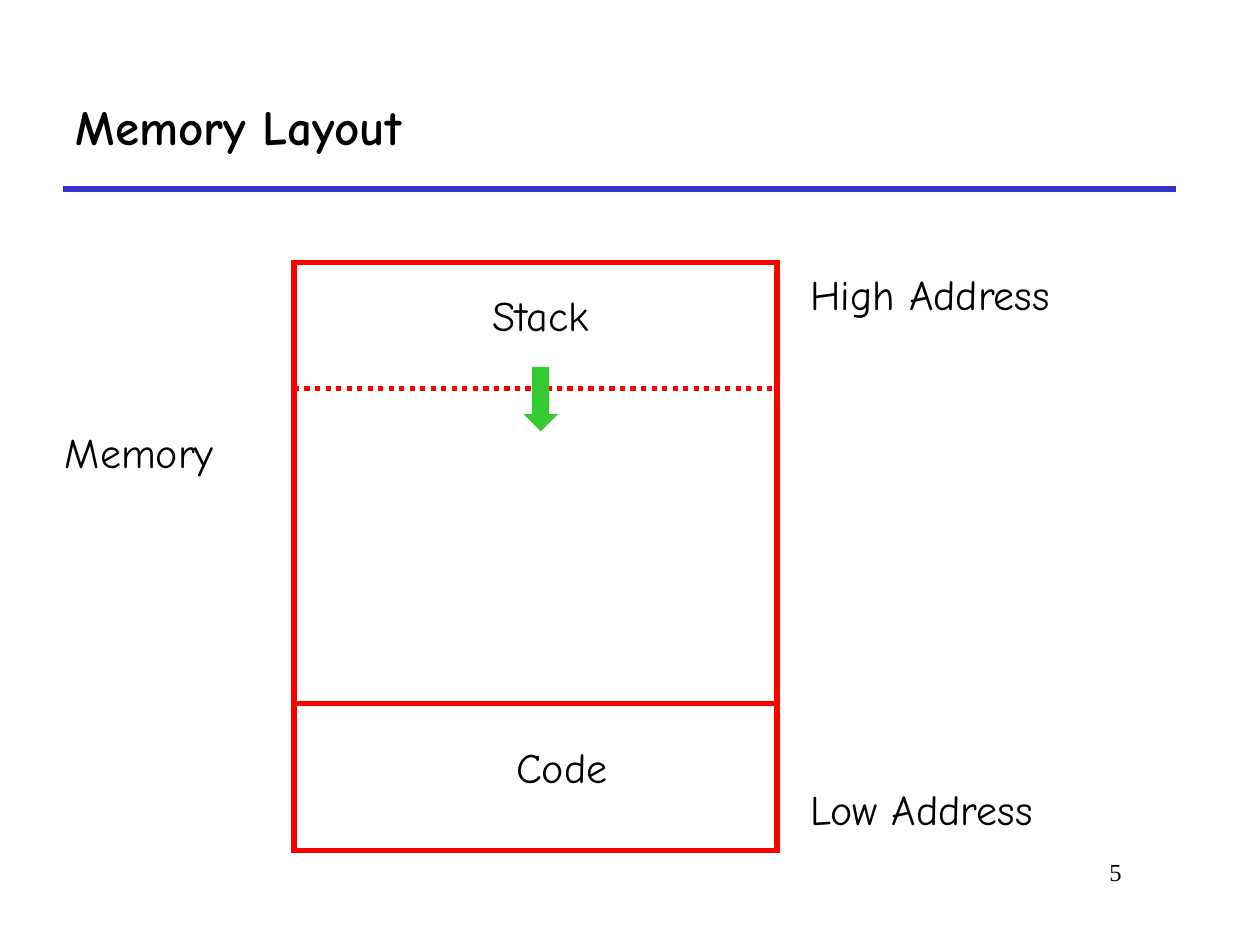
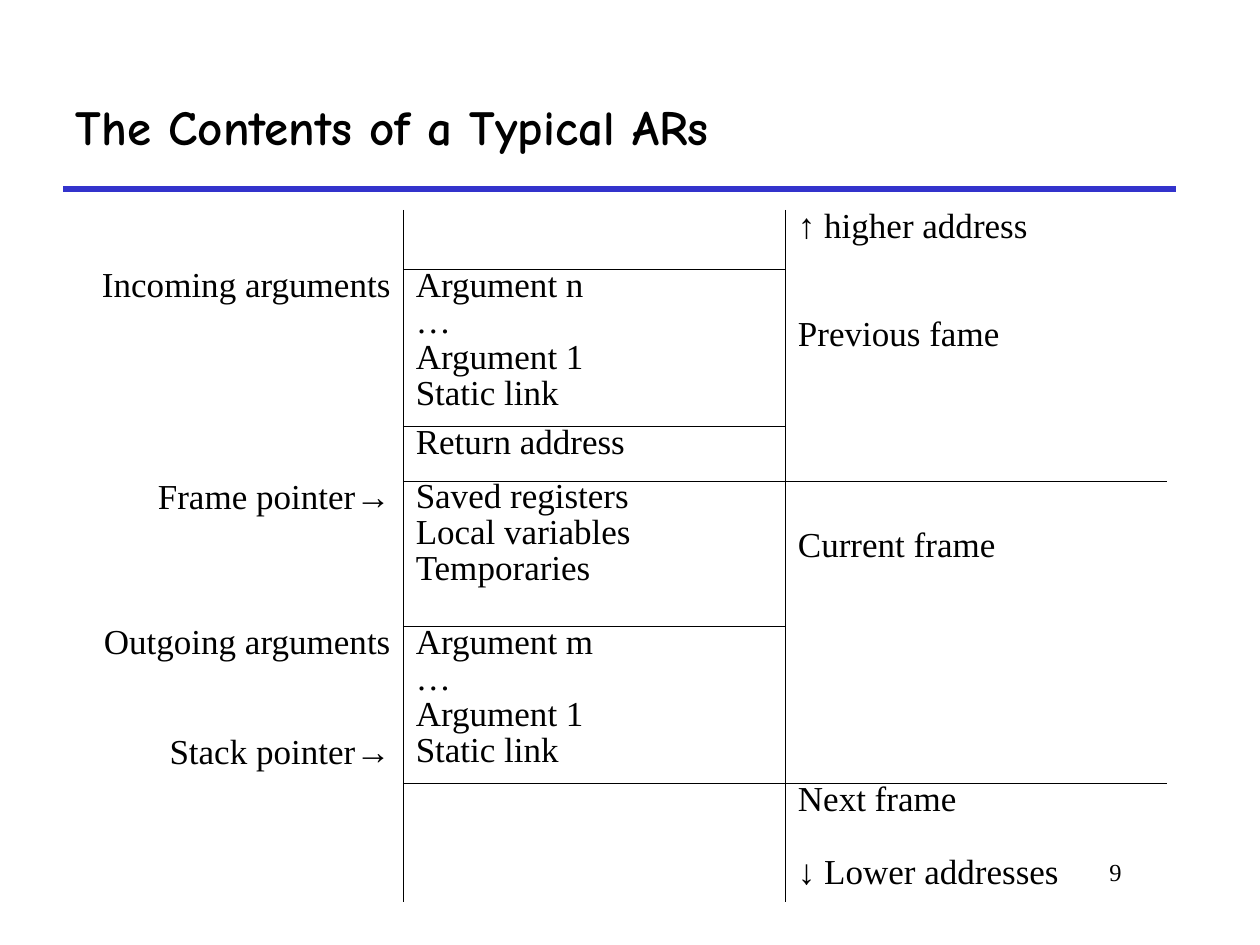
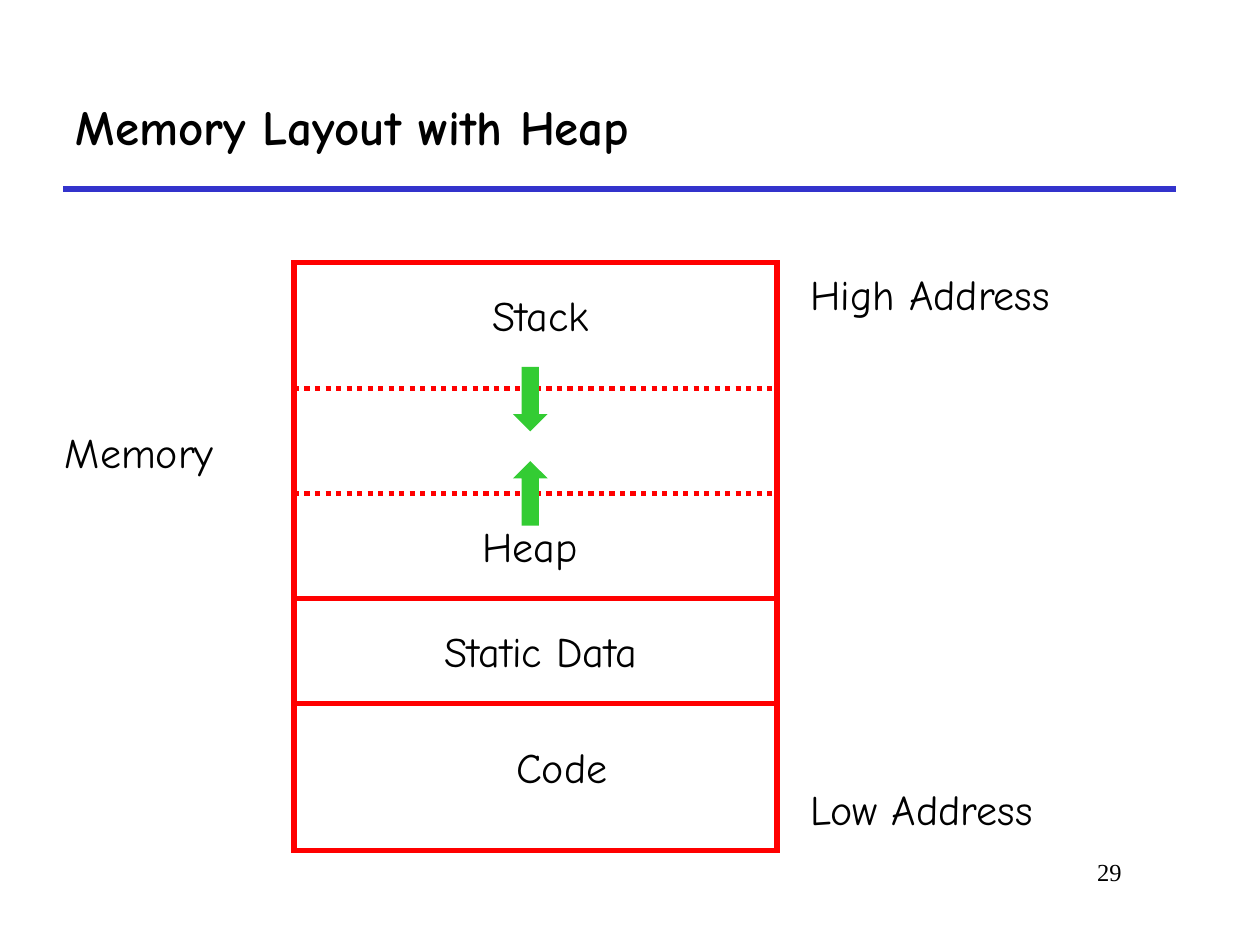
from itertools import groupby

from lxml.etree import SubElement
from pptx import Presentation
from pptx.dml.color import RGBColor
from pptx.enum.dml import MSO_LINE_DASH_STYLE as DASH
from pptx.enum.shapes import MSO_CONNECTOR, MSO_SHAPE
from pptx.enum.text import MSO_ANCHOR, PP_ALIGN as ALIGN
from pptx.oxml.ns import qn
from pptx.util import Emu, Pt

EMU_PER_PX = 7620  # 120 px to the inch
BLACK, BLUE, RED, GREEN = "000000", "3333CC", "FF0000", "33CC33"
COMIC, SERIF, SANS = "Comic Neue", "Times New Roman", "Arial"
ARROWS = "↑↓→"
NO_TABLE_STYLE = "{2D5ABB26-0587-4C30-8999-92F81FD0307C}"

MEMORY_BOX = (280, 250, 460, 560)
FRAME_BOX = (20, 200, 1092, 658)
ROW_HEIGHTS = (57, 149, 52, 139, 148, 113)
CELL_MARGIN = 6
FRAME_NAME_DROP = 46

# Each row: pointers and arguments | stack contents | frames
FRAME_ROWS = [
    ([], [], ["↑ higher address"]),
    (["Incoming arguments"],
     ["Argument n", "…", "Argument 1", "Static link"],
     ["Previous fame"]),
    ([], ["Return address"], []),
    (["Frame pointer→"],
     ["Saved registers", "Local variables", "Temporaries"],
     ["Current frame"]),
    (["Outgoing arguments", "Stack pointer→"],
     ["Argument m", "…", "Argument 1", "Static link"],
     []),
    ([], [], ["Next frame", "↓ Lower addresses"]),
]
DROPPED_NAMES = ("Previous fame", "Current frame")
SPACE_BEFORE = {"Stack pointer→": 47, "↓ Lower addresses": 26}
FRAME_END_ROWS = (2, 4)


def px(*lengths):
    return [Emu(length * EMU_PER_PX) for length in lengths]


def color(hex_value):
    return RGBColor.from_string(hex_value)


def set_font(paragraph, name, size, bold=False):
    font = paragraph.font
    font.name, font.size, font.bold = name, Pt(size), bold
    font.color.rgb = color(BLACK)


def set_outline(shape, line_color, points):
    """Give the shape a line with sharp corners and no shadow."""
    shape.shadow.inherit = False
    shape.line.color.rgb = color(line_color)
    shape.line.width = Pt(points)
    SubElement(shape.line._get_or_add_ln(), qn("a:miter"), lim="800000")


def add_label(slide, text, box, align=ALIGN.LEFT, name=COMIC, size=24):
    frame = slide.shapes.add_textbox(*px(*box)).text_frame
    frame.word_wrap = True
    paragraph = frame.paragraphs[0]
    paragraph.text, paragraph.alignment = text, align
    set_font(paragraph, name, size)


def add_rule(slide, left, right, y, line_color, dash=None):
    rule = slide.shapes.add_connector(
        MSO_CONNECTOR.STRAIGHT, *px(left, y, right, y))
    rule.line.color.rgb = color(line_color)
    rule.line.width = Pt(3)
    if dash:
        rule.line.dash_style = dash
    SubElement(rule.element.spPr, qn("a:effectLst"))


def add_growth_arrow(slide, direction, left, top):
    arrow = slide.shapes.add_shape(direction, *px(left, top, 30, 60))
    arrow.fill.solid()
    arrow.fill.fore_color.rgb = color(GREEN)
    set_outline(arrow, GREEN, 0.75)


def add_titled_slide(deck, heading, number):
    slide = deck.slides.add_slide(deck.slide_layouts[5])
    add_rule(slide, 60, 1120, 180, BLUE)
    add_label(slide, number, (830, 810, 250, 60), ALIGN.RIGHT, SERIF, 14)
    title = slide.shapes.title
    title.left, title.top, title.width, title.height = px(60, 60, 1060, 120)
    title.text_frame.text = heading
    title.text_frame.vertical_anchor = MSO_ANCHOR.MIDDLE
    paragraph = title.text_frame.paragraphs[0]
    paragraph.alignment = ALIGN.LEFT
    set_font(paragraph, COMIC, 28, bold=True)
    return slide


def add_memory(slide, box, stack_arrow_left):
    left, top, width, _ = box
    memory = slide.shapes.add_shape(MSO_SHAPE.RECTANGLE, *px(*box))
    memory.fill.background()
    set_outline(memory, RED, 3)

    for text, dx, dy, label_width in (
        ("Low Address", width + 20, 490, 310),
        ("High Address", width + 20, 0, 310),
        ("Memory", -230, 150, 210),
    ):
        add_label(slide, text, (left + dx, top + dy, label_width, 60))
    add_region(slide, box, "Code", (100, 450, 310), 420)
    add_region(slide, box, "Stack", (100, 20, 270), 120, DASH.ROUND_DOT)
    add_growth_arrow(
        slide, MSO_SHAPE.DOWN_ARROW, left + stack_arrow_left, top + 100)


def add_region(slide, box, text, label, border_y, dash=None):
    """Name a region of the memory box and draw the border that limits it."""
    left, top, width, _ = box
    dx, dy, label_width = label
    add_rule(slide, left, left + width, top + border_y, RED, dash)
    add_label(slide, text, (left + dx, top + dy, label_width, 60),
              ALIGN.CENTER)


def add_heap(slide, box):
    left, top, _, _ = box
    add_region(slide, box, "Static Data", (80, 340, 310), 320)
    add_region(slide, box, "Heap", (90, 240, 270), 220, DASH.ROUND_DOT)
    add_growth_arrow(slide, MSO_SHAPE.UP_ARROW, left + 210, top + 190)


def set_borders(cell, sides):
    """Draw the named sides (L, R, T, B) and clear the others."""
    properties = cell._tc.get_or_add_tcPr()
    for index, side in enumerate("LRTB"):
        border = properties.makeelement(qn(f"a:ln{side}"), {"w": "5715"})
        properties.insert(index, border)
        if side in sides:
            fill = SubElement(border, qn("a:solidFill"))
            SubElement(fill, qn("a:srgbClr"), val=BLACK)
        else:
            SubElement(border, qn("a:noFill"))


def fill_cell(cell, lines, align):
    cell.fill.background()
    dropped = lines and lines[0] in DROPPED_NAMES
    cell.margin_left, cell.margin_right = px(12, 12)
    cell.margin_top, cell.margin_bottom = px(
        CELL_MARGIN + (FRAME_NAME_DROP if dropped else 0), CELL_MARGIN)
    frame = cell.text_frame
    for index, line in enumerate(lines):
        paragraph = frame.add_paragraph() if index else frame.paragraphs[0]
        paragraph.alignment = align
        paragraph.line_spacing = 0.7
        if index:
            paragraph.space_before = Pt(SPACE_BEFORE.get(line, 5))
        set_font(paragraph, SERIF, 20)
        for is_arrow, letters in groupby(line, lambda c: c in ARROWS):
            run = paragraph.add_run()
            run.text = "".join(letters)
            if is_arrow:
                run.font.name = SANS


def frame_borders(row, column):
    last = len(FRAME_ROWS) - 1
    if column == 0:
        return "R"
    if column == 1:
        return "LR" + ("T" if row > 0 else "") + ("B" if row < last else "")
    return ("L" + ("B" if row in FRAME_END_ROWS else "")
            + ("T" if row - 1 in FRAME_END_ROWS else ""))


def add_frame_table(slide, box):
    graphic = slide.shapes.add_table(len(FRAME_ROWS), 3, *px(*box))
    table = graphic.table
    table.first_row = table.horz_banding = False
    table._tbl.tblPr.find(qn("a:tableStyleId")).text = NO_TABLE_STYLE
    for column in table.columns:
        column.width = px(box[2] // 3)[0]
    for row, height in zip(table.rows, ROW_HEIGHTS):
        row.height = px(height)[0]
    for r, contents in enumerate(FRAME_ROWS):
        for c, lines in enumerate(contents):
            cell = table.cell(r, c)
            fill_cell(cell, lines, ALIGN.LEFT if c else ALIGN.RIGHT)
            set_borders(cell, frame_borders(r, c))


def main():
    deck = Presentation()
    deck.slide_width, deck.slide_height = px(1200, 900)

    layout = add_titled_slide(deck, "Memory Layout", "5")
    add_memory(layout, MEMORY_BOX, stack_arrow_left=220)

    contents = add_titled_slide(deck, "The Contents of a Typical ARs", "9")
    add_frame_table(contents, FRAME_BOX)

    with_heap = add_titled_slide(deck, "Memory Layout with Heap", "29")
    add_memory(with_heap, MEMORY_BOX, stack_arrow_left=210)
    add_heap(with_heap, MEMORY_BOX)

    deck.save("out.pptx")


if __name__ == "__main__":
    main()
